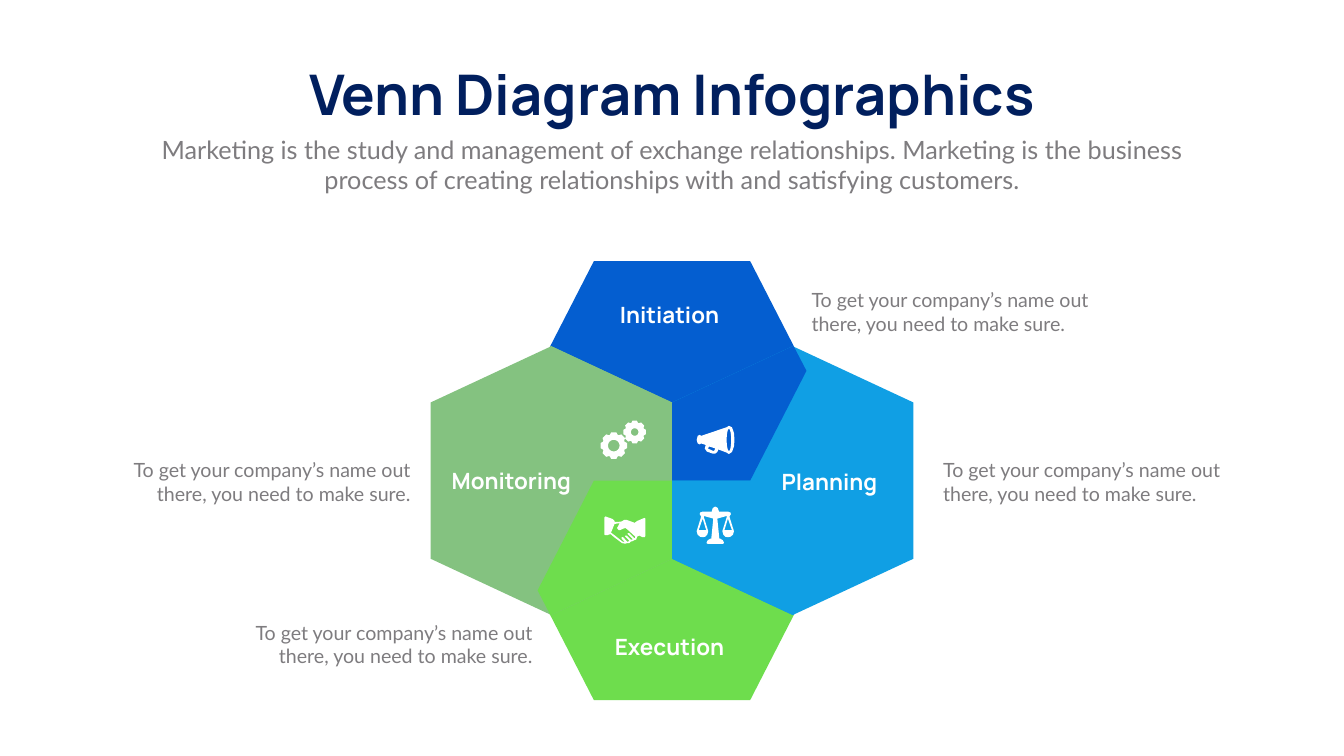
import math
from dataclasses import dataclass

from pptx import Presentation
from pptx.dml.color import RGBColor
from pptx.enum.text import MSO_ANCHOR, MSO_AUTO_SIZE, PP_ALIGN
from pptx.util import Pt

LEFT, CENTER, RIGHT = PP_ALIGN.LEFT, PP_ALIGN.CENTER, PP_ALIGN.RIGHT
TOP = MSO_ANCHOR.TOP
NO_FIT = MSO_AUTO_SIZE.NONE
TITLE_ONLY = 5


@dataclass(frozen=True)
class Theme:
    heading: str = "Manrope"
    body: str = "Lato"
    navy: str = "011F5E"
    grey: str = "7E7C7F"
    white: str = "FFFFFF"
    blue: str = "045ED0"
    sky: str = "109FE4"
    lime: str = "6EDD4D"
    sage: str = "84C280"
    title_size: int = 80
    subtitle_size: int = 36
    label_size: int = 32
    callout_size: int = 28


THEME = Theme()
TITLE_STYLE = (THEME.heading, THEME.title_size, True, THEME.navy)
SUBTITLE_STYLE = (THEME.body, THEME.subtitle_size, False, THEME.grey)
LABEL_STYLE = (THEME.heading, THEME.label_size, True, THEME.white)
CALLOUT_STYLE = (THEME.body, THEME.callout_size, False, THEME.grey)

SUBTITLE = ("Marketing is the study and management of exchange relationships. "
            "Marketing is the business process of creating relationships with "
            "and satisfying customers.")
CALLOUT = "To get your company’s name out there, you need to make sure."

FLAT, HALF, DEPTH = 111.6, 192, 313.6
SIDE_DEPTH = 344.8
ICON_UNIT = 0.72


def write_text(sp, text, style, align):
    name, size, bold, color = style
    tf = sp.text_frame
    frame = {"word_wrap": True, "auto_size": NO_FIT, "vertical_anchor": TOP,
             "margin_left": Pt(7.2), "margin_right": Pt(7.2),
             "margin_top": Pt(3.6), "margin_bottom": Pt(3.6)}
    for key, value in frame.items():
        setattr(tf, key, value)
    p = tf.paragraphs[0]
    p.alignment = align
    r = p.add_run()
    r.text = text
    for key, value in {"name": name, "size": Pt(size), "bold": bold}.items():
        setattr(r.font, key, value)
    r.font.color.rgb = RGBColor.from_string(color)


def add_text(s, box, text, style, align=CENTER):
    sp = s.shapes.add_textbox(*map(Pt, box))
    write_text(sp, text, style, align)


def add_outline(s, origin, contours, color, unit=1):
    x0, y0 = origin
    paths = [[(Pt(x0 + x * unit), Pt(y0 + y * unit)) for x, y in contour]
             for contour in contours]
    fb = s.shapes.build_freeform(*paths[0][0])
    fb.add_line_segments(paths[0][1:])
    for path in paths[1:]:
        fb.move_to(*path[0])
        fb.add_line_segments(path[1:])
    sp = fb.convert_to_shape()
    sp.shadow.inherit = False
    sp.fill.solid()
    sp.fill.fore_color.rgb = RGBColor.from_string(color)
    sp.line.fill.background()


def polar(cx, cy, rx, ry, degrees):
    a = math.radians(degrees)
    return cx + rx * math.cos(a), cy + ry * math.sin(a)


def ellipse(cx, cy, rx, ry):
    return [polar(cx, cy, rx, ry, -15 * k) for k in range(24)]


def gear(cx, cy, radius, teeth=8):
    profile = [(-20, 0.85), (-11, 1), (11, 1), (20, 0.85)]
    return [polar(cx, cy, radius * f, radius * f, 360 / teeth * k + a)
            for k in range(teeth) for a, f in profile]


def mirror(points, axis):
    return [(2 * axis - x, y) for x, y in reversed(points)]


def gears_icon():
    return [gear(26.5, 49.5, 26.8), ellipse(26.5, 49.5, 11.5, 11.5),
            gear(68, 22.5, 22.8), ellipse(68, 22.5, 7.5, 7.5)]


def megaphone_icon():
    body = [(64, 1), (59, 4), (9, 21), (6, 19), (2, 21), (0, 29), (2, 36),
            (6, 38), (9, 36), (18, 39), (16, 46), (20, 52), (31, 56),
            (37, 56), (41, 53), (43, 48), (59, 54), (64, 57), (70, 53),
            (74, 42), (75, 29), (74, 15), (70, 4)]
    handle = [(35, 50), (33, 51), (22, 46), (25, 42), (37, 46)]
    return [body, handle, ellipse(64, 29, 4.5, 22)]


def scales_icon():
    half = [(37, 0), (42, 3), (44, 9), (44, 10), (62, 10), (67, 12), (68, 15),
            (65, 20), (74, 49), (72, 56), (67, 60), (62, 61), (57, 60),
            (53, 56), (51, 49), (60, 20), (59, 19), (41, 24), (45, 64),
            (47, 64), (52, 67), (54, 71), (54, 73), (52, 74)]
    pan = [(62, 24), (70, 47), (55, 47)]
    return [half + mirror(half, 37), pan, mirror(pan, 37)]


def handshake_icon():
    hands = [(81, 4), (79, 3), (65, 9), (61, 12), (61, 13), (50, 9), (44, 7),
             (39, 7), (34, 10), (26, 11), (20, 11), (20, 9), (16, 5), (2, 0),
             (0, 2), (0, 36), (1, 37), (6, 37), (12, 35), (19, 41), (35, 53),
             (41, 54), (45, 53), (49, 53), (52, 50), (56, 49), (59, 47),
             (63, 46), (65, 40), (69, 38), (75, 41), (80, 41), (81, 39)]
    palm = [(61, 43), (59, 43), (49, 33), (46, 33), (46, 35), (56, 45),
            (55, 46), (52, 46), (44, 38), (41, 38), (41, 40), (49, 48),
            (47, 50), (45, 50), (37, 41), (34, 41), (34, 44), (41, 51),
            (36, 50), (21, 38), (13, 32), (20, 15), (26, 14), (30, 14),
            (25, 23), (28, 27), (31, 27), (38, 24), (42, 23), (49, 29),
            (61, 40)]
    return [hands, palm]


def add_header(s, title_box, subtitle_box):
    title = s.shapes.title
    for key, value in zip(("left", "top", "width", "height"), title_box):
        setattr(title, key, Pt(value))
    write_text(title, "Venn Diagram Infographics", TITLE_STYLE, CENTER)
    add_text(s, subtitle_box, SUBTITLE, SUBTITLE_STYLE)


def add_venn(s, box):
    x, y, w, h = box
    center = (x + w / 2, y + h / 2)

    upright = [(-FLAT, 0), (FLAT, 0), (HALF, DEPTH / 2), (FLAT, DEPTH),
               (-FLAT, DEPTH), (-HALF, DEPTH / 2)]
    sideways = [(0, -FLAT), (SIDE_DEPTH / 2, -HALF), (SIDE_DEPTH, -FLAT),
                (SIDE_DEPTH, FLAT), (SIDE_DEPTH / 2, HALF), (0, FLAT)]
    hexagons = [(upright, 1, -1, THEME.blue), (upright, 1, 1, THEME.lime),
                (sideways, -1, 1, THEME.sage), (sideways, 1, 1, THEME.sky)]
    overlap = [(SIDE_DEPTH / 2, HALF), (0, FLAT), (0, 0), (FLAT, 0),
               (HALF, DEPTH / 2), (174, 191.5)]
    overlaps = [(overlap, -1, -1, THEME.sage), (overlap, -1, 1, THEME.lime),
                (overlap, 1, -1, THEME.blue), (overlap, 1, 1, THEME.sky)]
    for points, sx, sy, color in hexagons + overlaps:
        contour = [(px * sx, py * sy) for px, py in points]
        add_outline(s, center, [contour], color)

    icons = [(megaphone_icon, 35.2, -79), (scales_icon, 35.2, 37),
             (handshake_icon, -96.5, 51.2), (gears_icon, -102.3, -85.6)]
    for icon, dx, dy in icons:
        add_outline(s, (center[0] + dx, center[1] + dy), icon(),
                    THEME.white, ICON_UNIT)

    labels = [("Initiation", -137, -260.5), ("Planning", 91.4, -20.8),
              ("Execution", -137, 214.7), ("Monitoring", -363, -22.8)]
    for text, dx, dy in labels:
        add_text(s, (center[0] + dx, center[1] + dy, 267, 46), text,
                 LABEL_STYLE)


def add_callout(s, box, align):
    add_text(s, box, CALLOUT, CALLOUT_STYLE, align)


def main():
    prs = Presentation()
    prs.slide_width, prs.slide_height = Pt(1919.52), Pt(1080)
    s = prs.slides.add_slide(prs.slide_layouts[TITLE_ONLY])
    add_header(s, (240.5, 82, 1438.5, 104.4), (210.2, 188, 1499, 94.3))
    add_venn(s, (615, 373, 2 * SIDE_DEPTH, 2 * DEPTH))
    for x, y, align in [(1152, 408.2, LEFT), (1340, 651, LEFT),
                        (168.5, 651, RIGHT), (342.7, 883.4, RIGHT)]:
        add_callout(s, (x, y, 424.8, 75), align)
    prs.save("out.pptx")


if __name__ == "__main__":
    main()
